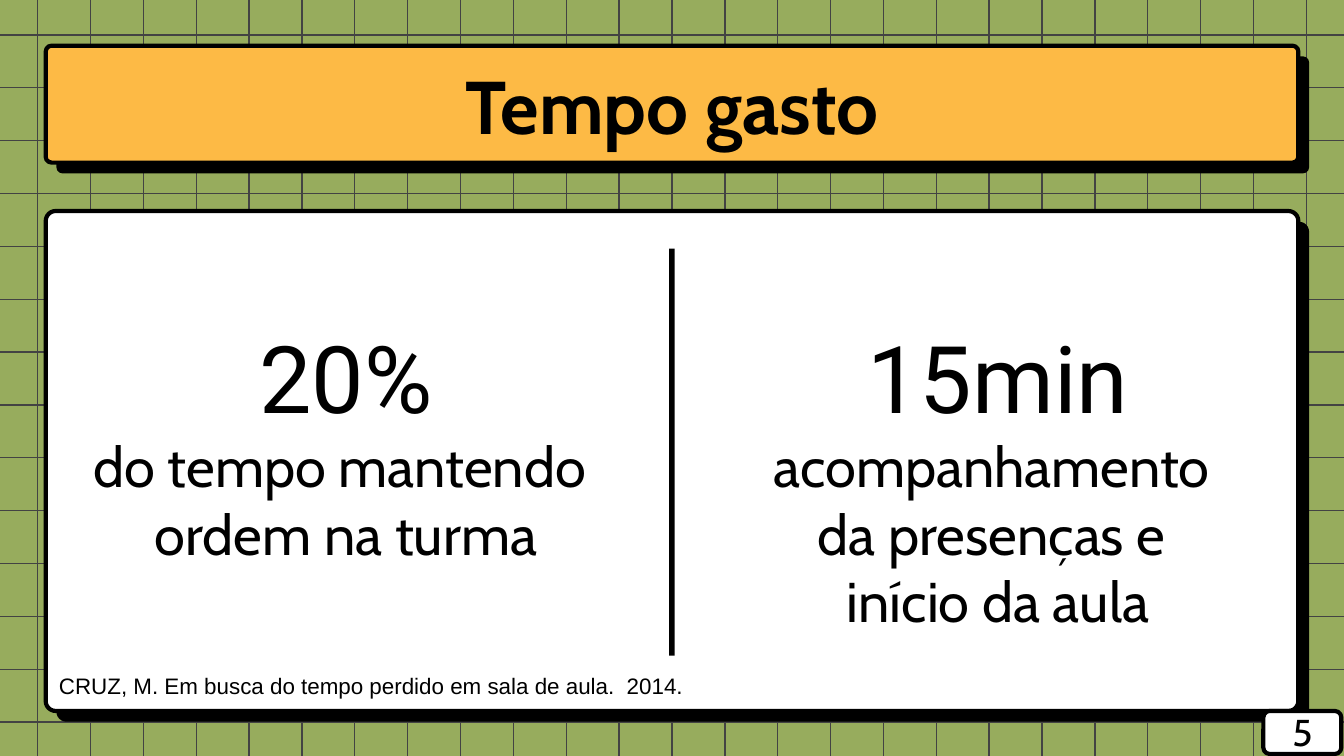
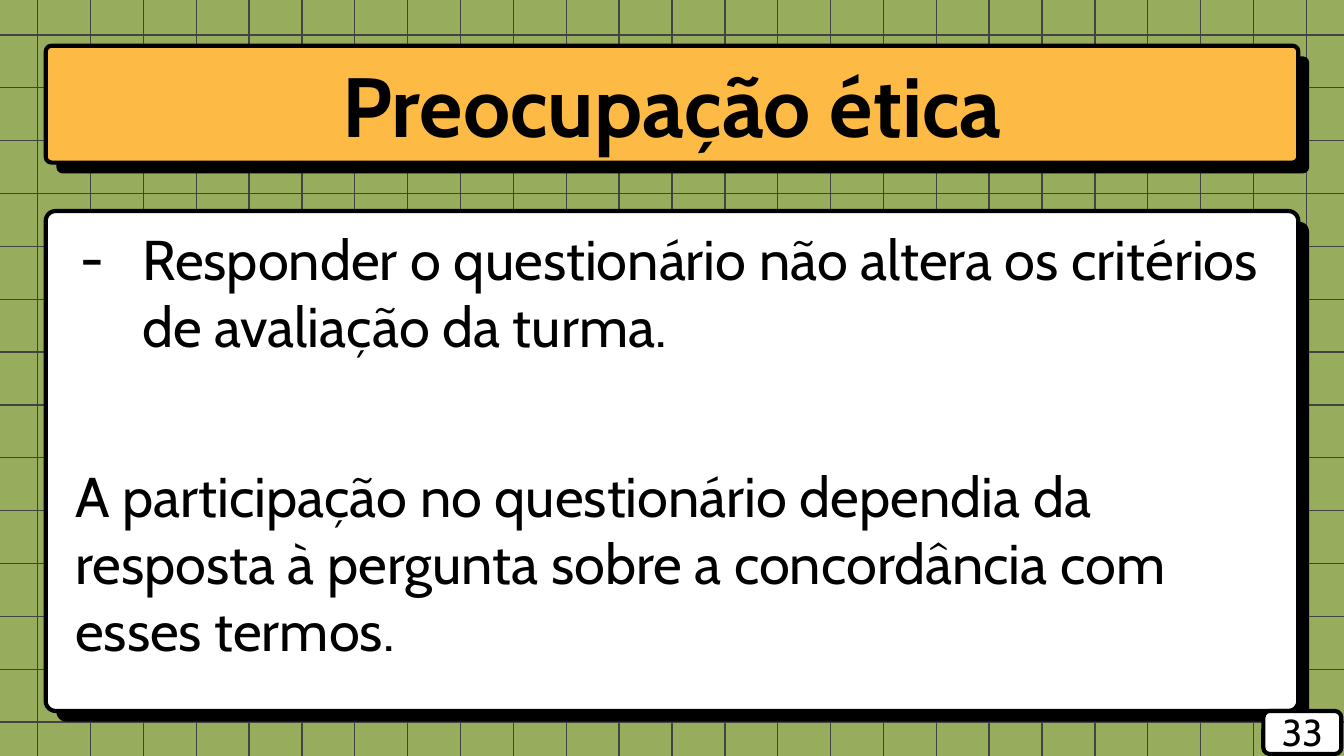
import pptx
import pptx.dml.color
import pptx.enum.shapes
import pptx.enum.text
import pptx.oxml.xmlchemy
import pptx.util

Inches = pptx.util.Inches
Pt = pptx.util.Pt
RGB = pptx.dml.color.RGBColor
SHAPE = pptx.enum.shapes.MSO_SHAPE
LINE = pptx.enum.shapes.MSO_CONNECTOR
ALIGN = pptx.enum.text.PP_ALIGN
ANCHOR = pptx.enum.text.MSO_ANCHOR
Element = pptx.oxml.xmlchemy.OxmlElement

GREEN = RGB(0x97, 0xAC, 0x5D)
GRAY = RGB(0x43, 0x43, 0x43)
AMBER = RGB(0xFD, 0xBA, 0x45)
BLACK = RGB(0, 0, 0)
WHITE = RGB(255, 255, 255)

WIDTH, HEIGHT = 10, 10 * 9 / 16
ROWS, COLS = 14, 25
LEFT, TOP = 0.28, 0.26
STEP = (WIDTH - 2 * LEFT) / (COLS - 1)
BAND = (0.34, 0.34, 9.32, 0.87)
CARD = (0.34, 1.57, 9.32, 3.72)
DROP = 0.08
TEXT = "Cabin"
PADS = (0.1, 0.1, 0.1, 0.1)


def add_line(slide, x1, y1, x2, y2):
    line = slide.shapes.add_connector(
        LINE.STRAIGHT, Inches(x1), Inches(y1), Inches(x2), Inches(y2))
    line.line.color.rgb = GRAY
    line.line.width = Pt(0.75)
    line._element.spPr.append(Element("a:effectLst"))


def add_grid(slide):
    for row in range(ROWS):
        y = TOP + row * STEP
        add_line(slide, 0, y, WIDTH, y)
    for col in range(COLS):
        x = LEFT + col * STEP
        add_line(slide, x, 0, x, HEIGHT)


def add_block(slide, at, fill, curve=None, edge=False):
    """Add a filled rectangle, rounded when curve is given."""
    kind = SHAPE.RECTANGLE if curve is None else SHAPE.ROUNDED_RECTANGLE
    shape = slide.shapes.add_shape(kind, *map(Inches, at))
    shape.shadow.inherit = False
    shape.fill.solid()
    shape.fill.fore_color.rgb = fill
    if curve is not None:
        shape.adjustments[0] = curve
    if edge:
        shape.line.color.rgb = BLACK
        shape.line.width = Pt(2.25)
    else:
        shape.line.fill.background()


def add_panel(slide, at, fill, curve):
    """Add an outlined panel above its solid black drop shadow."""
    x, y, w, h = at
    add_block(slide, (x + DROP, y + DROP, w, h), BLACK, curve)
    add_block(slide, at, fill, curve, edge=True)


def add_box(slide, at, pads=PADS, anchor=ANCHOR.TOP):
    frame = slide.shapes.add_textbox(*map(Inches, at)).text_frame
    frame.word_wrap = True
    frame.vertical_anchor = anchor
    (frame.margin_left, frame.margin_top,
     frame.margin_right, frame.margin_bottom) = map(Inches, pads)
    return frame


def add_para(frame, text, size, font=TEXT, align=ALIGN.CENTER, bold=False):
    """Fill the empty first paragraph or add one; a newline is a line break."""
    para = frame.paragraphs[0]
    if para.runs:
        para = frame.add_paragraph()
    para.alignment = align
    for i, part in enumerate(text.split("\n")):
        if i:
            para.add_line_break()
        run = para.add_run()
        run.text = part
        run.font.name = font
        run.font.size = Pt(size)
        run.font.bold = bold
        run.font.color.rgb = BLACK
    return para


def add_dash(para):
    """Give the paragraph a hanging dash bullet."""
    props = para._p.get_or_add_pPr()
    props.set("marL", str(Inches(0.5)))
    props.set("indent", str(Inches(-0.46)))
    color = Element("a:buClr")
    value = Element("a:srgbClr")
    value.set("val", str(BLACK))
    color.append(value)
    font = Element("a:buFont")
    font.set("typeface", TEXT)
    mark = Element("a:buChar")
    mark.set("char", "-")
    props.extend([color, font, mark])


def add_page(deck, title, size, number):
    """Add a slide with grid, title band, white card and page number."""
    slide = deck.slides.add_slide(deck.slide_layouts[6])
    add_grid(slide)
    add_panel(slide, BAND, AMBER, 0.05)
    add_para(add_box(slide, BAND, anchor=ANCHOR.MIDDLE), title, size, bold=True)
    add_panel(slide, CARD, WHITE, 0.02)
    add_block(slide, (9.4, 5.29, 0.58, 0.32), WHITE, 0.15, edge=True)
    frame = add_box(slide, (9.4, 5.17, 0.58, 0.55), (0.06, 0, 0.06, 0),
                    ANCHOR.MIDDLE)
    add_para(frame, str(number), 20)
    return slide


def add_fact(slide, x, figure, lines):
    frame = add_box(slide, (x, 2.28, 4.47, 2.05))
    add_para(frame, figure, 50, "Roboto")
    for line in lines:
        add_para(frame, line, 30)


def add_time(deck):
    slide = add_page(deck, "Tempo gasto", 40, 5)
    add_fact(slide, 0.34, "20%", ["do tempo mantendo \nordem na turma"])
    add_fact(slide, 5.19, "15min",
             ["acompanhamento ", "da presenças e ", "início da aula"])
    add_para(add_box(slide, (0.34, 4.9, 9.32, 0.4)),
             "CRUZ, M. Em busca do tempo perdido em sala de aula.  2014.",
             12, "Arial", ALIGN.LEFT)
    add_block(slide, (4.98, 1.85, 0.04, 3.03), BLACK)


def add_ethics(deck):
    slide = add_page(deck, "Preocupação ética", 45, 33)
    frame = add_box(slide, (0.34, 1.57, 9.32, 3.51), (0.22, 0.1, 0.1, 0.1))
    add_dash(add_para(
        frame, "Responder o questionário não altera os critérios "
        "de avaliação da turma.", 30, align=ALIGN.LEFT))
    para = add_para(
        frame, "A participação no questionário dependia da resposta à "
        "pergunta sobre a concordância com esses termos.",
        30, align=ALIGN.LEFT)
    para.space_before = Pt(55)
    para.space_after = Pt(10)


def main():
    deck = pptx.Presentation()
    deck.slide_width = Inches(WIDTH)
    deck.slide_height = Inches(HEIGHT)
    back = deck.slide_master.background.fill
    back.solid()
    back.fore_color.rgb = GREEN
    add_time(deck)
    add_ethics(deck)
    deck.save("out.pptx")


if __name__ == "__main__":
    main()
